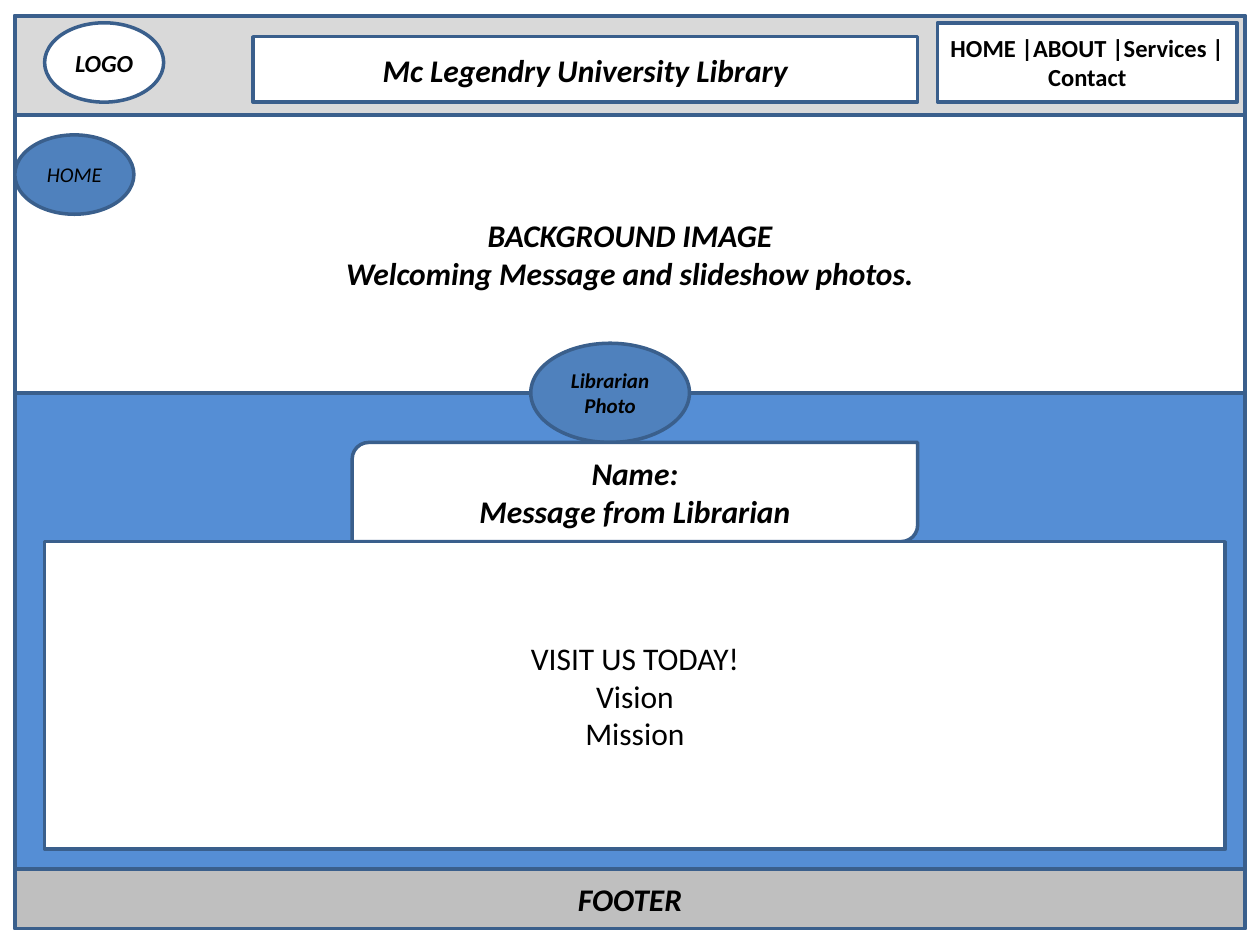
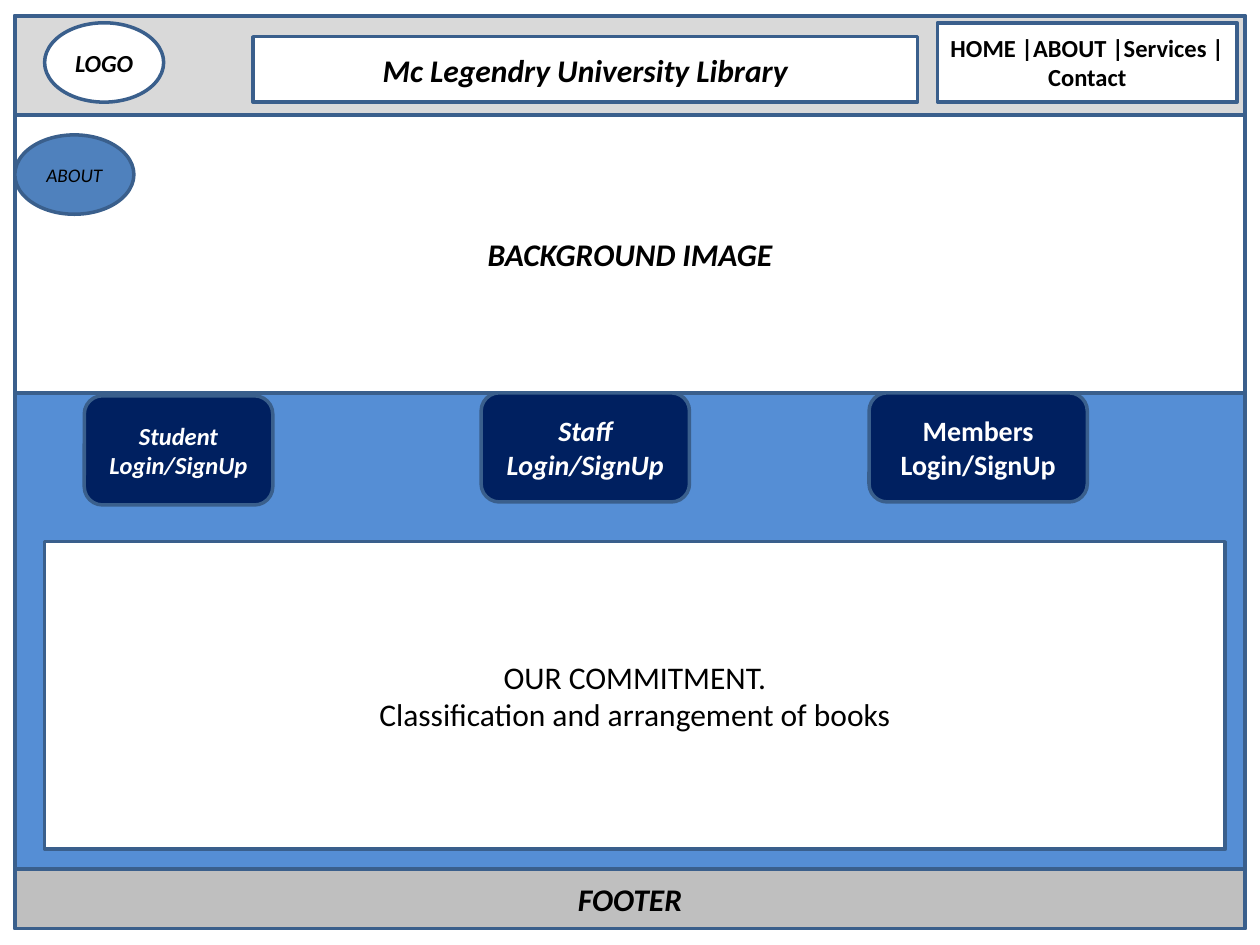
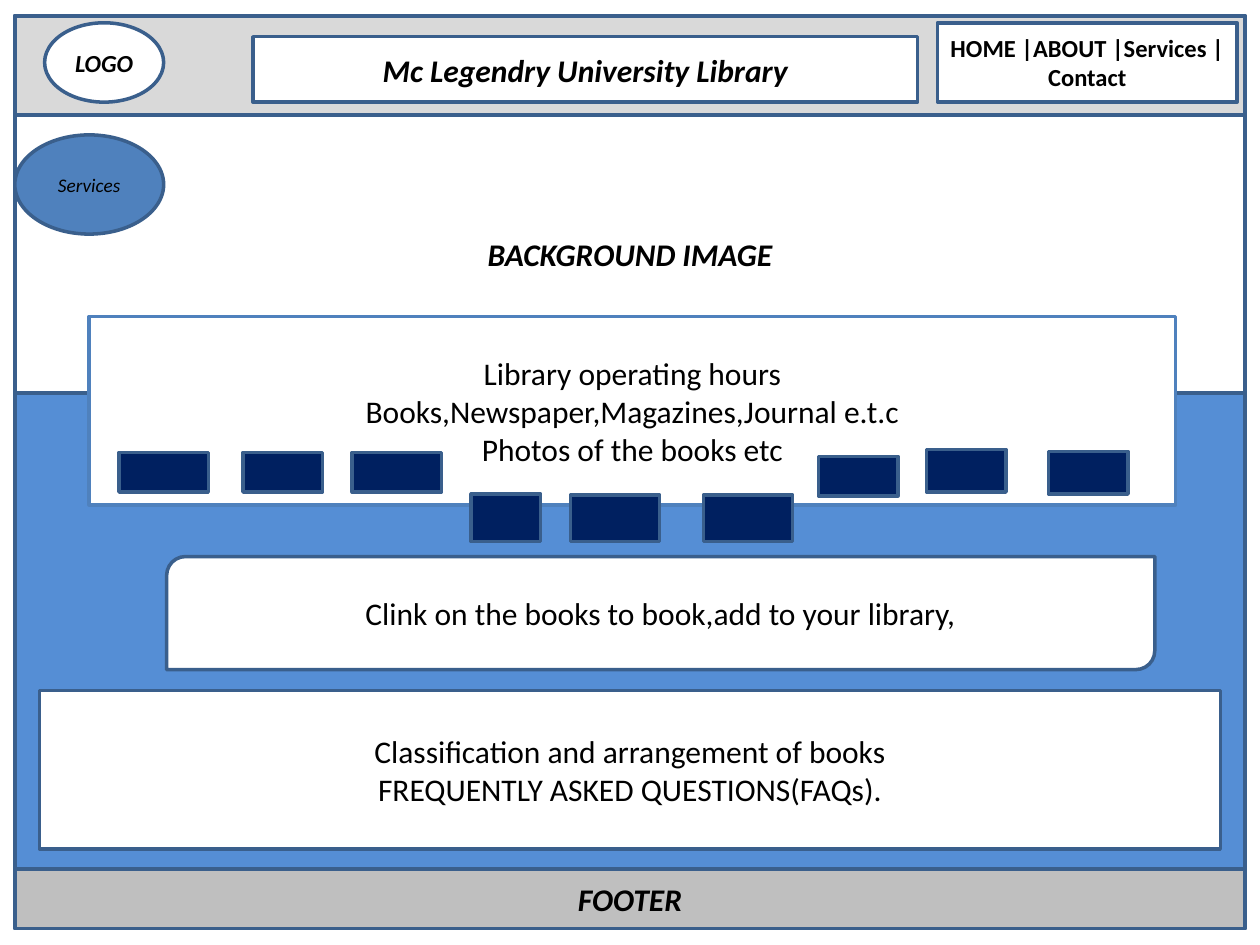
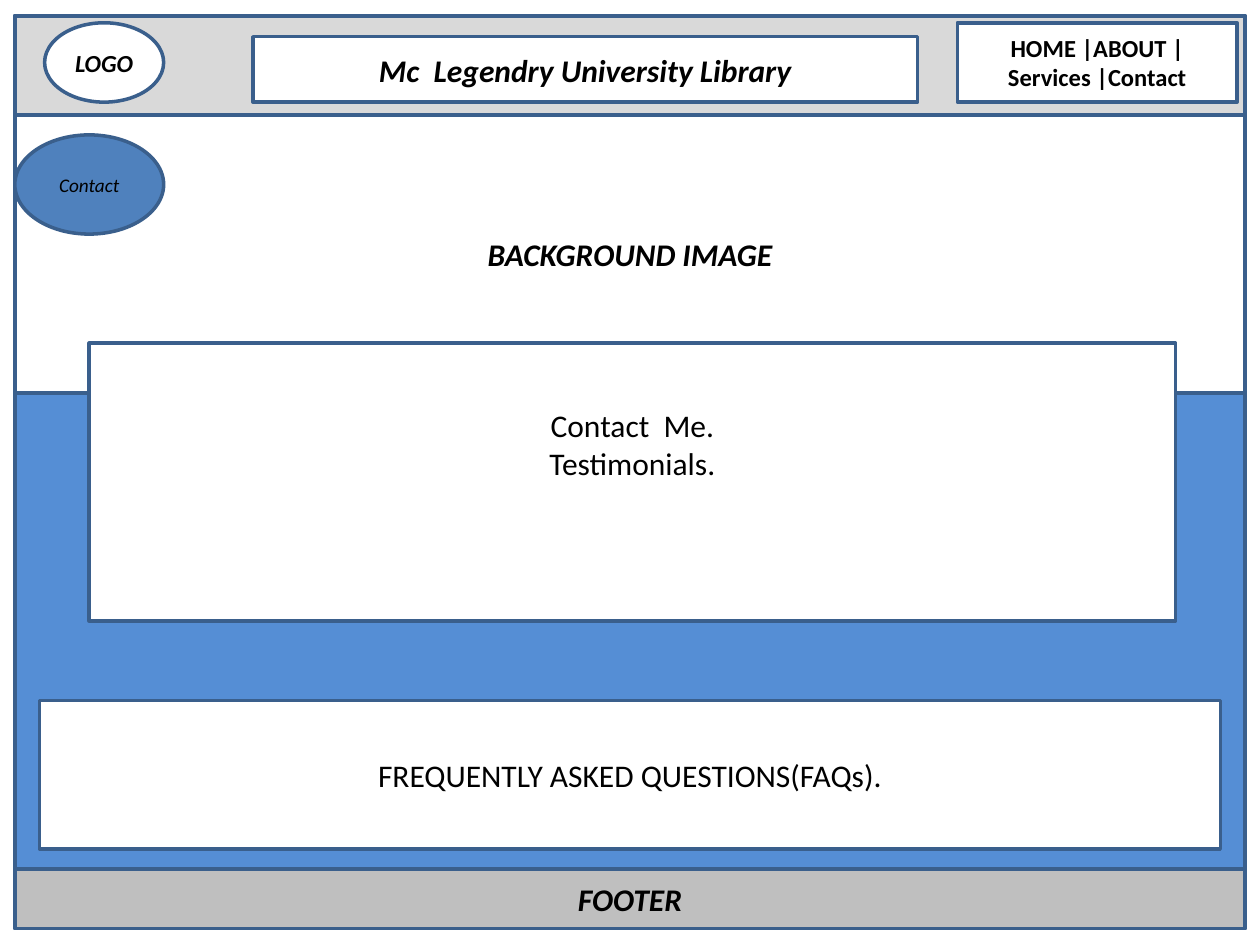
from lxml import etree
from pptx import Presentation
from pptx.dml.color import RGBColor
from pptx.enum.shapes import MSO_SHAPE as Shape
from pptx.enum.text import MSO_ANCHOR, MSO_AUTO_SIZE, PP_ALIGN
from pptx.oxml.ns import qn
from pptx.util import Inches, Mm, Pt

# Palette
BLACK = RGBColor(0x00, 0x00, 0x00)
WHITE = RGBColor(0xFF, 0xFF, 0xFF)
PAGE_BLUE = RGBColor(0x55, 0x8E, 0xD5)
BADGE_BLUE = RGBColor(0x4F, 0x81, 0xBD)
NAVY = RGBColor(0x00, 0x20, 0x60)
OUTLINE = RGBColor(0x3A, 0x5F, 0x8C)
HEADER_GREY = RGBColor(0xD9, 0xD9, 0xD9)
FOOTER_GREY = RGBColor(0xBF, 0xBF, 0xBF)

FONT = "Calibri"
CELL = Mm(2)  # the page grid: 127 columns by 95.25 rows
TITLE_ONLY = 5

# Page frame, in grid cells
LEFT, TOP, WIDTH, HEIGHT = 1.5, 1.6, 124, 92
HEADER_ROWS, HERO_ROWS, FOOTER_ROWS = 10, 28, 6
HERO_TOP = TOP + HEADER_ROWS
FOOTER_TOP = TOP + HEIGHT - FOOTER_ROWS
NAV_RIGHT = 124.7
PANEL_WIDTH = 119
PANEL_BOTTOM = 85.6


def cells(count):
    return round(count * CELL)


class Wireframe:
    """Holds the deck's style and the slide being built."""

    def __init__(self):
        self.deck = Presentation()
        self.deck.slide_width, self.deck.slide_height = Inches(10), Inches(7.5)
        self.slide = None

    def style(self, shape, fill, line):
        shape.fill.solid()
        shape.fill.fore_color.rgb = fill
        shape.line.color.rgb = line
        shape.line.width = Pt(2)
        shape.shadow.inherit = False

    def label(self, shape, text, size, color=BLACK, bold=False, italic=False):
        frame = shape.text_frame
        frame.text = text
        frame.word_wrap = True
        frame.auto_size = MSO_AUTO_SIZE.NONE
        frame.vertical_anchor = MSO_ANCHOR.MIDDLE
        for paragraph in frame.paragraphs:
            paragraph.alignment = PP_ALIGN.CENTER
            font = paragraph.font
            font.name, font.size = FONT, Pt(size)
            font.bold, font.italic = bold, italic
            font.color.rgb = color

    def box(self, col, row, cols, rows, text="", size=18, fill=WHITE,
            kind=Shape.FLOWCHART_PROCESS, line=OUTLINE, **look):
        shape = self.slide.shapes.add_shape(
            kind, *(cells(n) for n in (col, row, cols, rows)))
        self.style(shape, fill, line)
        if text:
            self.label(shape, text, size, **look)
        return shape

    def title(self, text):
        """Turn the title placeholder into the rounded name bar."""
        bar = self.slide.shapes.title
        bar.left, bar.top = cells(25.5), cells(3.7)
        bar.width, bar.height = cells(67), cells(6.6)
        outline = etree.SubElement(bar.element.spPr, qn("a:prstGeom"), prst="roundRect")
        etree.SubElement(outline, qn("a:avLst"))
        self.style(bar, WHITE, OUTLINE)
        self.label(bar, text, 18, bold=True, italic=True)
        # Bring the bar in front of the header
        self.slide.shapes.element.append(bar.element)

    def badge(self, text, cols, rows, size):
        self.box(LEFT, 13.6, cols, rows, text, size, BADGE_BLUE, Shape.OVAL, italic=True)

    def panel(self, col, row, text):
        self.box(col, row, PANEL_WIDTH, PANEL_BOTTOM - row, text)

    def login(self, col, row, cols, text, size, italic=True):
        self.box(col, row, cols, 11, text, size, NAVY, Shape.ROUNDED_RECTANGLE,
                 color=WHITE, bold=True, italic=italic)

    def page(self, hero="BACKGROUND IMAGE", title="Mc Legendry University Library",
             nav_col=94.5):
        """Start a slide with the parts that all pages share."""
        layout = self.deck.slide_layouts[TITLE_ONLY]
        self.slide = self.deck.slides.add_slide(layout)
        self.box(LEFT, TOP, WIDTH, HEIGHT, fill=PAGE_BLUE)
        self.box(LEFT, TOP, WIDTH, HEADER_ROWS, fill=HEADER_GREY)
        self.box(nav_col, 2.3, NAV_RIGHT - nav_col, 8,
                 "HOME |ABOUT |Services |Contact", 14, bold=True)
        self.box(LEFT, HERO_TOP, WIDTH, HERO_ROWS, hero, bold=True, italic=True)
        self.title(title)
        self.box(4.5, 2.3, 12, 8, "LOGO", 14, kind=Shape.OVAL, bold=True, italic=True)
        self.box(LEFT, FOOTER_TOP, WIDTH, FOOTER_ROWS, "FOOTER", fill=FOOTER_GREY,
                 bold=True, italic=True)


def home(site):
    site.page("BACKGROUND IMAGE\nWelcoming Message and slideshow photos.")
    site.badge("HOME", 12, 8, 12)
    site.box(53.5, 34.6, 16, 10, "Librarian Photo", 12, BADGE_BLUE, Shape.OVAL,
             bold=True, italic=True)
    site.box(35.5, 44.6, 57, 10, "Name:\nMessage from Librarian",
             kind=Shape.ROUND_2_DIAG_RECTANGLE, bold=True, italic=True)
    site.panel(4.5, 54.6, "VISIT US TODAY!\nVision\nMission")


def about(site):
    site.page()
    site.badge("ABOUT", 12, 8, 11)
    site.panel(4.5, 54.6, "OUR COMMITMENT.\nClassification and arrangement of books")
    site.login(8.5, 39.9, 19, "Student Login/SignUp", 14)
    site.login(48.5, 39.6, 21, "Staff Login/SignUp", 16)
    site.login(87.6, 39.6, 22, "Members Login/SignUp", 16, italic=False)


def services(site):
    site.page()
    site.badge("Services", 15, 10, 11)
    site.panel(4, 69.6, "Classification and arrangement of books\n"
                        "FREQUENTLY ASKED QUESTIONS(FAQs).")
    site.box(9, 31.9, 109.5, 19,
             "Library operating hours\nBooks,Newspaper,Magazines,Journal e.t.c\n"
             "Photos of the books etc", line=BADGE_BLUE)
    # Book photos: left group, right group, lower group
    books = [
        (12, 45.6, 9, 4), (24.5, 45.6, 8, 4), (35.5, 45.6, 9, 4),
        (82.5, 46, 8, 4), (93.4, 45.3, 8, 4.3), (105.7, 45.5, 8, 4.3),
        (47.5, 49.8, 7, 4.8), (57.5, 49.9, 9, 4.7), (70.9, 49.9, 9, 4.7),
    ]
    for book in books:
        site.box(*book, fill=NAVY)
    site.box(16.8, 56.1, 99.6, 11.4, "Clink on the books to book,add to your library,",
             kind=Shape.ROUND_2_DIAG_RECTANGLE)


def contact(site):
    site.page(title="Mc  Legendry University Library", nav_col=96.5)
    site.badge("Contact", 15, 10, 11)
    site.panel(4, 70.6, "FREQUENTLY ASKED QUESTIONS(FAQs).")
    details = site.box(9, 34.6, 109.5, 28, "Contact  Me.\nTestimonials.")
    details.text_frame.margin_bottom = cells(8.4)  # lifts the text above the middle


def main():
    site = Wireframe()
    for build in (home, about, services, contact):
        build(site)
    site.deck.save("out.pptx")


if __name__ == "__main__":
    main()
